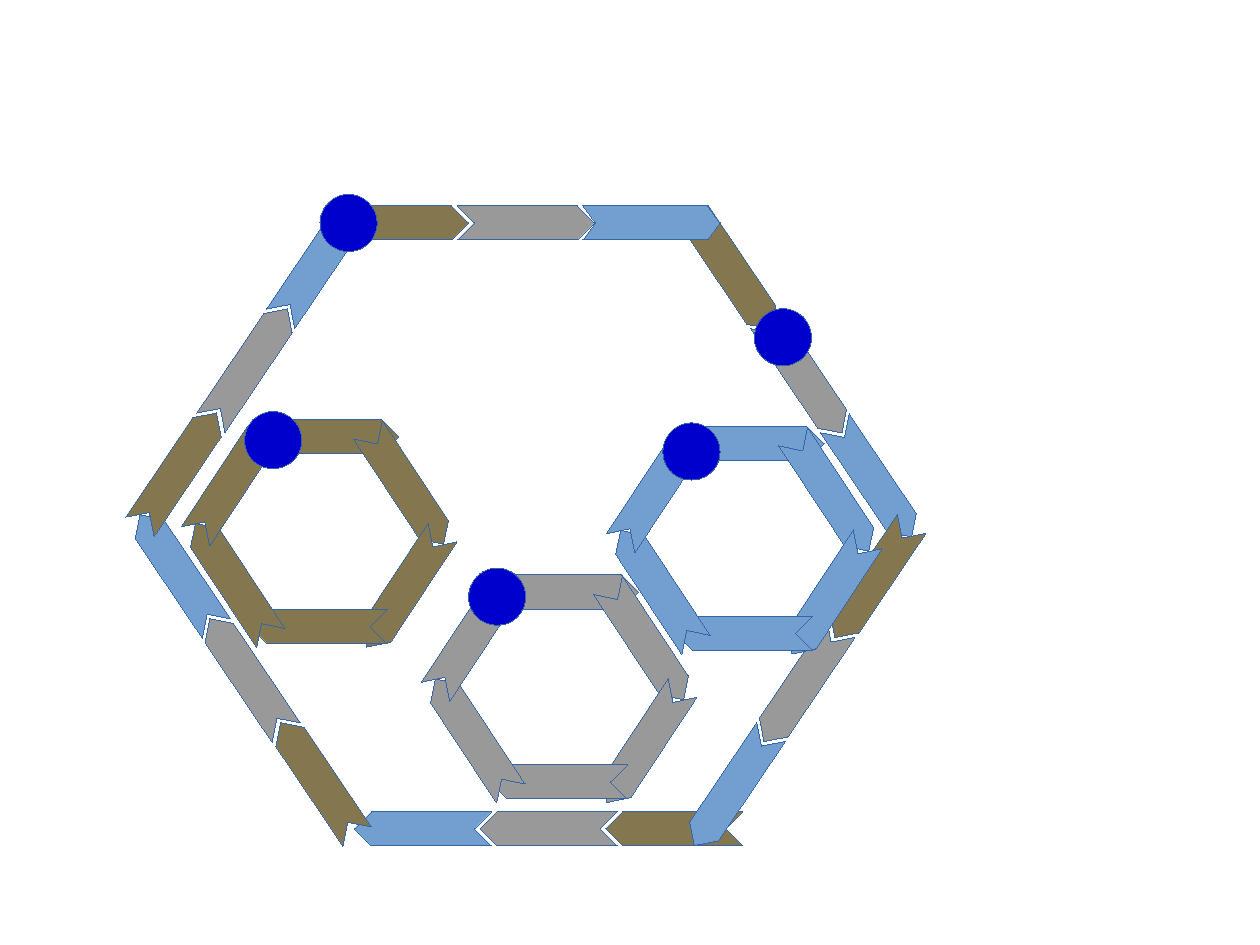
import math
from pptx import Presentation
from pptx import util as u
from pptx.dml.color import RGBColor
from pptx.enum import shapes

PX = u.Inches(1) // 100
HAIRLINE = u.Emu(1)
COLORS = {"blue": "729FCF", "brown": "84764E", "gray": "999999",
          "node": "0000CC", "line": "3465A4"}
ARROW_W, ARROW_H, ARROW_STEP, NODE = 120, 30, 110, 50


def add_part(parent, kind, x, y, w, h, color, angle=0):
    sp = parent.shapes.add_shape(kind, round(x) * PX, round(y) * PX, w * PX, h * PX)
    sp.rotation = angle
    sp.shadow.inherit = False
    sp.fill.solid()
    sp.fill.fore_color.rgb = RGBColor.from_string(COLORS[color])
    sp.line.color.rgb = RGBColor.from_string(COLORS["line"])
    sp.line.width = HAIRLINE
    return sp


prs = Presentation()
prs.slide_width, prs.slide_height = u.Cm(28), u.Cm(21)
s = prs.slides.add_slide(prs.slide_layouts[6])

outer_sides = [(581, 223, 56), (290, 180, 0), (530, 710, 180),
               (219, 667, 236), (96, 396, 304), (704, 493, 124)]
for left, top, angle in outer_sides:
    side = s.shapes.add_group_shape()
    dx = ARROW_STEP * math.cos(math.radians(angle))
    dy = ARROW_STEP * math.sin(math.radians(angle))
    for color, place in (("blue", 2), ("brown", 0), ("gray", 1)):
        sp = add_part(side, shapes.MSO_SHAPE.CHEVRON, left + place * dx, top + place * dy,
                      ARROW_W, ARROW_H, color, angle)
        if angle == 0 and color == "blue":
            sp.adjustments[0] = 0.37

ring_arrows = [(0, 0, 0), (66, 44, 56.6), (65, 134, 123.4),
               (-10, 166, 180), (-85, 126, 236.6), (-85, 37, 303.4)]
for left, top, color in ((601, 373, "blue"), (439, 503, "gray"), (229, 367, "brown")):
    ring = s.shapes.add_group_shape()
    for dx, dy, angle in ring_arrows:
        add_part(ring, shapes.MSO_SHAPE.CHEVRON, left + dx, top + dy,
                 ARROW_W, ARROW_H, color, angle)

for left, top in ((280, 170), (214, 360), (580, 370), (410, 497), (660, 270)):
    add_part(s, shapes.MSO_SHAPE.OVAL, left, top, NODE, NODE, "node")

prs.save("out.pptx")
